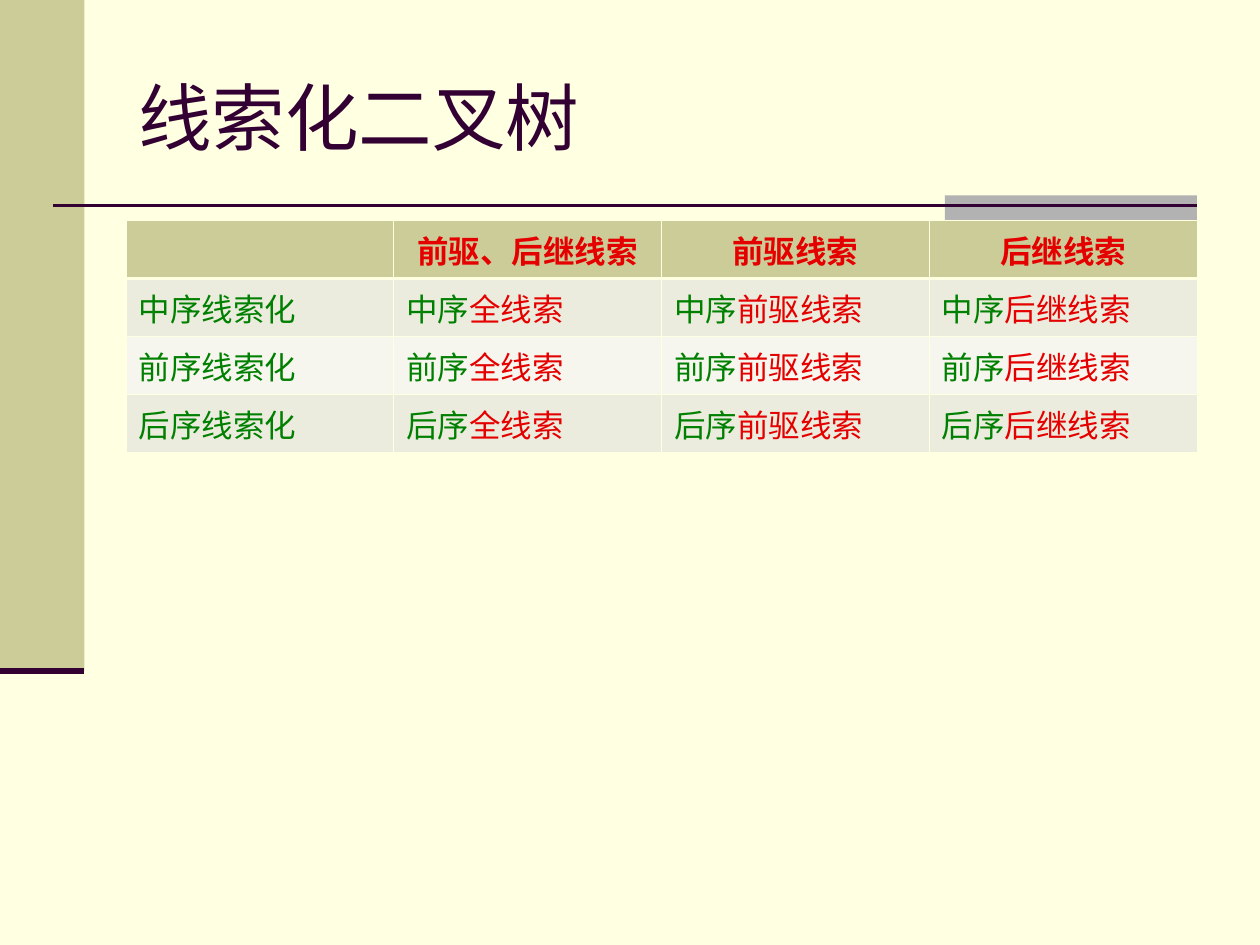
from typing import NamedTuple

from lxml import etree
from pptx import Presentation
from pptx import util as u
from pptx.dml.color import RGBColor
from pptx.enum import shapes, text
from pptx.oxml.ns import qn

CREAM = RGBColor(0xFF, 0xFF, 0xE1)
KHAKI = RGBColor(0xCC, 0xCC, 0x99)
GREY = RGBColor(0xB2, 0xB2, 0xB2)
PLUM = RGBColor(0x33, 0x00, 0x33)
RED = RGBColor(0xE5, 0x00, 0x00)
GREEN = RGBColor(0x00, 0x80, 0x00)
BAND_DARK = RGBColor(0xEC, 0xEC, 0xDE)
BAND_LIGHT = RGBColor(0xF6, 0xF6, 0xEF)

WIDTH, HEIGHT = u.Inches(10), u.Inches(7.5)
FONT = "Arial"
ROW_HEIGHT = u.Inches(0.46)
THIN, THICK = 0.45, 1.47

ORDERS = ["中序", "前序", "后序"]
HEADINGS = ["前驱、后继线索", "前驱线索", "后继线索"]
THREADS = ["全线索", "前驱线索", "后继线索"]


class Box(NamedTuple):
    """Left, top, width and height as shares of the slide."""
    left: float
    top: float
    width: float
    height: float

    def lengths(self) -> tuple[int, int, int, int]:
        return (round(self.left * WIDTH), round(self.top * HEIGHT),
                round(self.width * WIDTH), round(self.height * HEIGHT))


class Block(NamedTuple):
    box: Box
    color: RGBColor


class Rule(NamedTuple):
    """A horizontal line; positions are shares of the slide."""
    start: float
    end: float
    top: float
    points: float


class Piece(NamedTuple):
    words: str
    color: RGBColor
    size: float = 18
    bold: bool = False


BLOCKS = [Block(Box(0, 0, 0.067, 0.71), KHAKI),
          Block(Box(0.75, 1.55 / 7.5, 0.2, 0.2 / 7.5), GREY)]
RULES = [Rule(0.042, 0.95, 1.63 / 7.5, 1.5), Rule(0, 0.067, 0.71, 3.5)]
TITLE_BOX = Box(0.1, 0.04, 0.85, 1.25 / 7.5)
TABLE_BOX = Box(0.1, 1.75 / 7.5, 0.85, 4 * 0.46 / 7.5)


def add_block(slide, block: Block) -> None:
    shape = slide.shapes.add_shape(shapes.MSO_SHAPE.RECTANGLE, *block.box.lengths())
    shape.shadow.inherit = False
    shape.fill.solid()
    shape.fill.fore_color.rgb = block.color
    shape.line.fill.background()


def add_rule(slide, rule: Rule) -> None:
    top = round(rule.top * HEIGHT)
    connector = slide.shapes.add_connector(
        shapes.MSO_CONNECTOR.STRAIGHT,
        round(rule.start * WIDTH), top, round(rule.end * WIDTH), top)
    connector.line.color.rgb = PLUM
    connector.line.width = u.Pt(rule.points)
    etree.SubElement(connector._element.spPr, qn("a:effectLst"))


def add_pieces(paragraph, pieces: list[Piece]) -> None:
    for piece in pieces:
        run = paragraph.add_run()
        run.text = piece.words
        run.font.name = FONT
        run.font.size = u.Pt(piece.size)
        run.font.bold = piece.bold
        run.font.color.rgb = piece.color


def add_title(slide, piece: Piece) -> None:
    frame = slide.shapes.add_textbox(*TITLE_BOX.lengths()).text_frame
    frame.word_wrap = True
    frame.vertical_anchor = text.MSO_ANCHOR.MIDDLE
    add_pieces(frame.paragraphs[0], [piece])


def add_borders(cell, row: int) -> None:
    """Draw thin cell borders, with a thick one under the heading row."""
    widths = {"lnL": THIN, "lnR": THIN,
              "lnT": THICK if row == 1 else THIN,
              "lnB": THICK if row == 0 else THIN}
    properties = cell._tc.get_or_add_tcPr()
    for side, points in widths.items():
        line = etree.SubElement(properties, qn(f"a:{side}"), w=str(u.Pt(points)))
        fill = etree.SubElement(line, qn("a:solidFill"))
        etree.SubElement(fill, qn("a:srgbClr"), val=str(CREAM))


def table_rows() -> list[list[list[Piece]]]:
    heading = [[]] + [[Piece(words, RED, bold=True)] for words in HEADINGS]
    body = [[[Piece(order + "线索化", GREEN)]]
            + [[Piece(order, GREEN), Piece(thread, RED)] for thread in THREADS]
            for order in ORDERS]
    return [heading] + body


def add_thread_table(slide, rows: list[list[list[Piece]]]) -> None:
    table = slide.shapes.add_table(len(rows), len(rows[0]), *TABLE_BOX.lengths()).table
    for row, contents in enumerate(rows):
        table.rows[row].height = ROW_HEIGHT
        for column, pieces in enumerate(contents):
            cell = table.cell(row, column)
            add_borders(cell, row)
            cell.fill.solid()
            cell.fill.fore_color.rgb = (
                KHAKI if row == 0 else BAND_DARK if row % 2 else BAND_LIGHT)
            paragraph = cell.text_frame.paragraphs[0]
            if row == 0:
                paragraph.alignment = text.PP_ALIGN.CENTER
            add_pieces(paragraph, pieces)


def main() -> None:
    presentation = Presentation()
    presentation.slide_width, presentation.slide_height = WIDTH, HEIGHT
    slide = presentation.slides.add_slide(presentation.slide_layouts[6])
    slide.background.fill.solid()
    slide.background.fill.fore_color.rgb = CREAM

    # Side band, accent block and rules
    for block in BLOCKS:
        add_block(slide, block)
    for rule in RULES:
        add_rule(slide, rule)

    # Title and table of threading kinds
    add_title(slide, Piece("线索化二叉树", PLUM, size=42))
    add_thread_table(slide, table_rows())
    presentation.save("out.pptx")


if __name__ == "__main__":
    main()
